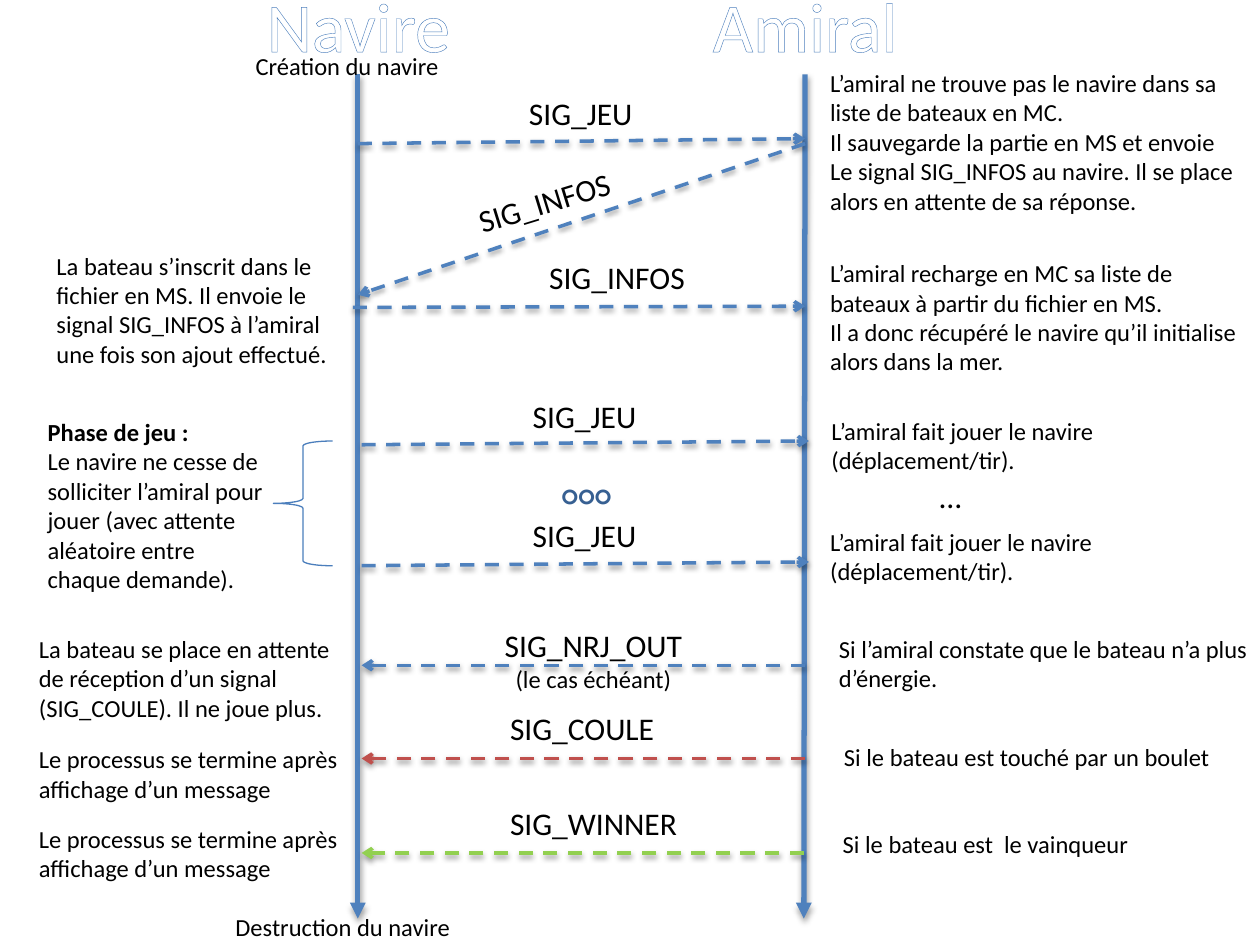
from dataclasses import dataclass

from lxml import etree
from pptx import Presentation
from pptx.dml.color import RGBColor
from pptx.enum.dml import MSO_LINE
from pptx.enum.shapes import MSO_CONNECTOR, MSO_SHAPE
from pptx.enum.text import MSO_AUTO_SIZE, PP_ALIGN
from pptx.oxml.ns import qn
from pptx.util import Inches, Pt

STRAIGHT = MSO_CONNECTOR.STRAIGHT
LEFT_BRACE = MSO_SHAPE.LEFT_BRACE
DASH = MSO_LINE.DASH
FIT = MSO_AUTO_SIZE.SHAPE_TO_FIT_TEXT
LEFT, CENTER = PP_ALIGN.LEFT, PP_ALIGN.CENTER


@dataclass(frozen=True)
class Theme:
    """Colours, font and type sizes of the slide."""
    font: str = "Calibri"
    ink: str = "000000"
    white: str = "FFFFFF"
    blue: str = "4F81BD"
    brace: str = "4B7EBC"
    dots: str = "376092"
    red: str = "C0504D"
    green: str = "92D050"
    title: float = 40
    ellipsis: float = 28
    signal: float = 18
    note: float = 14


T = Theme()
SHIP, ADMIRAL = 2.84, 6.39
NEAR_SHIP = 2.87
LIFE_TOP, LIFE_BOTTOM = 0.59, 7.29

# name, left, width, lifeline x at the top and at the bottom
ACTORS = [("Navire", 2.01, 1.67, SHIP, SHIP), ("Amiral", 5.55, 1.68, ADMIRAL, 6.38)]

# from, to, colour
MESSAGES = [
    ((SHIP, 1.14), (ADMIRAL, 1.10), T.blue),
    ((ADMIRAL, 1.14), (SHIP, 2.34), T.blue),
    ((2.80, 2.44), (ADMIRAL, 2.43), T.blue),
    ((NEAR_SHIP, 3.53), (6.42, 3.50), T.blue),
    ((NEAR_SHIP, 4.49), (6.42, 4.46), T.blue),
    ((ADMIRAL, 5.28), (NEAR_SHIP, 5.28), T.blue),
    ((ADMIRAL, 6.02), (NEAR_SHIP, 6.02), T.red),
    ((6.38, 6.77), (NEAR_SHIP, 6.77), T.green),
]

# label, left, top, width, rotation
SIGNALS = [
    ("SIG_JEU", 4.10, 0.70, 1.03, 0),
    ("SIG_INFOS", 3.68, 1.40, 1.29, 342.9),
    ("SIG_INFOS", 4.26, 2.00, 1.29, 0),
    ("SIG_JEU", 4.13, 3.10, 1.03, 0),
    ("SIG_JEU", 4.13, 4.05, 1.03, 0),
    ("SIG_COULE", 3.95, 5.58, 1.36, 0),
    ("SIG_WINNER", 3.95, 6.33, 1.54, 0),
    ("…", 7.36, 3.74, 0.38, 0),
]

PLAYS = ["L’amiral fait jouer le navire (déplacement/tir)."]
ENDS = ["Le processus se termine après affichage d’un message"]

# left, top, width, height, paragraphs
NOTES = [
    (1.93, 0.36, 2.44, 0.34, ["Création du navire"]),
    (0.35, 1.94, 2.44, 1.04, [
        "La bateau s’inscrit dans le fichier en MS. Il envoie le signal "
        "SIG_INFOS à l’amiral une fois son ajout effectué."]),
    (0.21, 4.98, 2.58, 0.81, [
        "La bateau se place en attente",
        "de réception d’un signal (SIG_COULE). Il ne joue plus."]),
    (0.21, 5.86, 2.58, 0.57, ENDS),
    (0.21, 6.49, 2.58, 0.57, ENDS),
    (1.77, 7.19, 2.44, 0.34, ["Destruction du navire"]),
    (6.49, 0.49, 3.44, 1.28, [
        "L’amiral ne trouve pas le navire dans sa liste de bateaux en MC. ",
        "Il sauvegarde la partie en MS et envoie",
        "Le signal SIG_INFOS au navire. Il se place alors en attente de sa réponse."]),
    (6.49, 2.00, 3.44, 1.04, [
        "L’amiral recharge en MC sa liste de bateaux à partir du fichier en MS. ",
        "Il a donc récupéré le navire qu’il initialise alors dans la mer."]),
    (6.50, 3.25, 3.44, 0.57, PLAYS),
    (6.49, 4.13, 3.44, 0.57, PLAYS),
    (6.56, 4.98, 3.44, 0.57, ["Si l’amiral constate que le bateau n’a plus d’énergie."]),
    (6.60, 5.84, 3.44, 0.34, ["Si le bateau est touché par un boulet"]),
    (6.59, 6.53, 3.44, 0.34, ["Si le bateau est  le vainqueur"]),
]

GAME_PHASE = [
    ("Phase de jeu :", T.note, T.ink, True),
    ("Le navire ne cesse de solliciter l’amiral pour ", T.note, T.ink, False),
    ("jouer (avec attente aléatoire entre chaque demande).", T.note, T.ink, False),
]
OUT_OF_ENERGY = [
    ("SIG_NRJ_OUT", T.signal, T.ink, False),
    ("(le cas échéant)", T.note, T.ink, False),
]


def add_text(slide, box, paragraphs, wrap=True, align=LEFT, rotation=0):
    """Add a text box of (text, size, colour, bold) paragraphs; return its runs."""
    label = slide.shapes.add_textbox(*map(Inches, box))
    label.rotation = rotation
    frame = label.text_frame
    frame.word_wrap = wrap
    frame.auto_size = FIT
    runs = []
    for index, (text, size, color, bold) in enumerate(paragraphs):
        paragraph = frame.add_paragraph() if index else frame.paragraphs[0]
        paragraph.alignment = align
        run = paragraph.add_run()
        run.text = text
        run.font.name = T.font
        run.font.size = Pt(size)
        run.font.bold = bold
        run.font.color.rgb = RGBColor.from_string(color)
        runs.append(run)
    return runs


def outline(run, color, width):
    """Draw the contour of a run's letters."""
    line = etree.Element(qn("a:ln"), w=str(Pt(width)))
    fill = etree.SubElement(line, qn("a:solidFill"))
    etree.SubElement(fill, qn("a:srgbClr"), val=color)
    run.font._element.insert(0, line)


def add_arrow(slide, start, end, color, width, head, shadow, dash=None):
    """Add an arrow with a soft shadow, given as (opacity %, distance)."""
    arrow = slide.shapes.add_connector(STRAIGHT, *map(Inches, (*start, *end)))
    arrow.line.color.rgb = RGBColor.from_string(color)
    arrow.line.width = Pt(width)
    if dash is not None:
        arrow.line.dash_style = dash
    properties = arrow._element.spPr
    etree.SubElement(properties.find(qn("a:ln")), qn("a:tailEnd"), type=head)
    opacity, distance = shadow
    effects = etree.SubElement(properties, qn("a:effectLst"))
    cast = etree.SubElement(effects, qn("a:outerShdw"), blurRad=str(Pt(3.1)),
                            dist=str(Pt(distance)), dir="5400000", rotWithShape="0")
    tint = etree.SubElement(cast, qn("a:srgbClr"), val=T.ink)
    etree.SubElement(tint, qn("a:alpha"), val=str(opacity * 1000))


def add_brace(slide, box):
    """Add the brace that gathers the game phase."""
    brace = slide.shapes.add_shape(LEFT_BRACE, *map(Inches, box))
    brace.shadow.inherit = False
    brace.fill.background()
    brace.line.color.rgb = RGBColor.from_string(T.brace)
    brace.line.width = Pt(0.75)


def build():
    """Build the sequence diagram and save it."""
    deck = Presentation()
    deck.slide_width, deck.slide_height = Inches(10), Inches(7.5)
    slide = deck.slides.add_slide(deck.slide_layouts[6])

    for name, left, width, top_x, bottom_x in ACTORS:
        add_arrow(slide, (top_x, LIFE_TOP), (bottom_x, LIFE_BOTTOM), T.blue, 3,
                  "triangle", (35, 1.8))
        title, = add_text(slide, (left, -0.19, width, 0.77),
                          [(name, T.title, T.white, False)], False, CENTER)
        outline(title, T.blue, 0.8)
    for start, end, color in MESSAGES:
        add_arrow(slide, start, end, color, 2, "arrow", (38, 1.6), DASH)
    for signal, left, top, width, rotation in SIGNALS:
        add_text(slide, (left, top, width, 0.4),
                 [(signal, T.signal, T.ink, False)], False, rotation=rotation)
    for *box, paragraphs in NOTES:
        add_text(slide, box, [(text, T.note, T.ink, False) for text in paragraphs])

    add_text(slide, (4.36, 3.72, 0.8, 0.57), [("°°°", T.ellipsis, T.dots, False)])
    add_brace(slide, (2.17, 3.5, 0.47, 0.99))
    add_text(slide, (0.28, 3.26, 1.97, 1.51), GAME_PHASE)
    add_text(slide, (3.9, 4.92, 1.62, 0.64), OUT_OF_ENERGY, False, CENTER)
    deck.save("out.pptx")


build()
